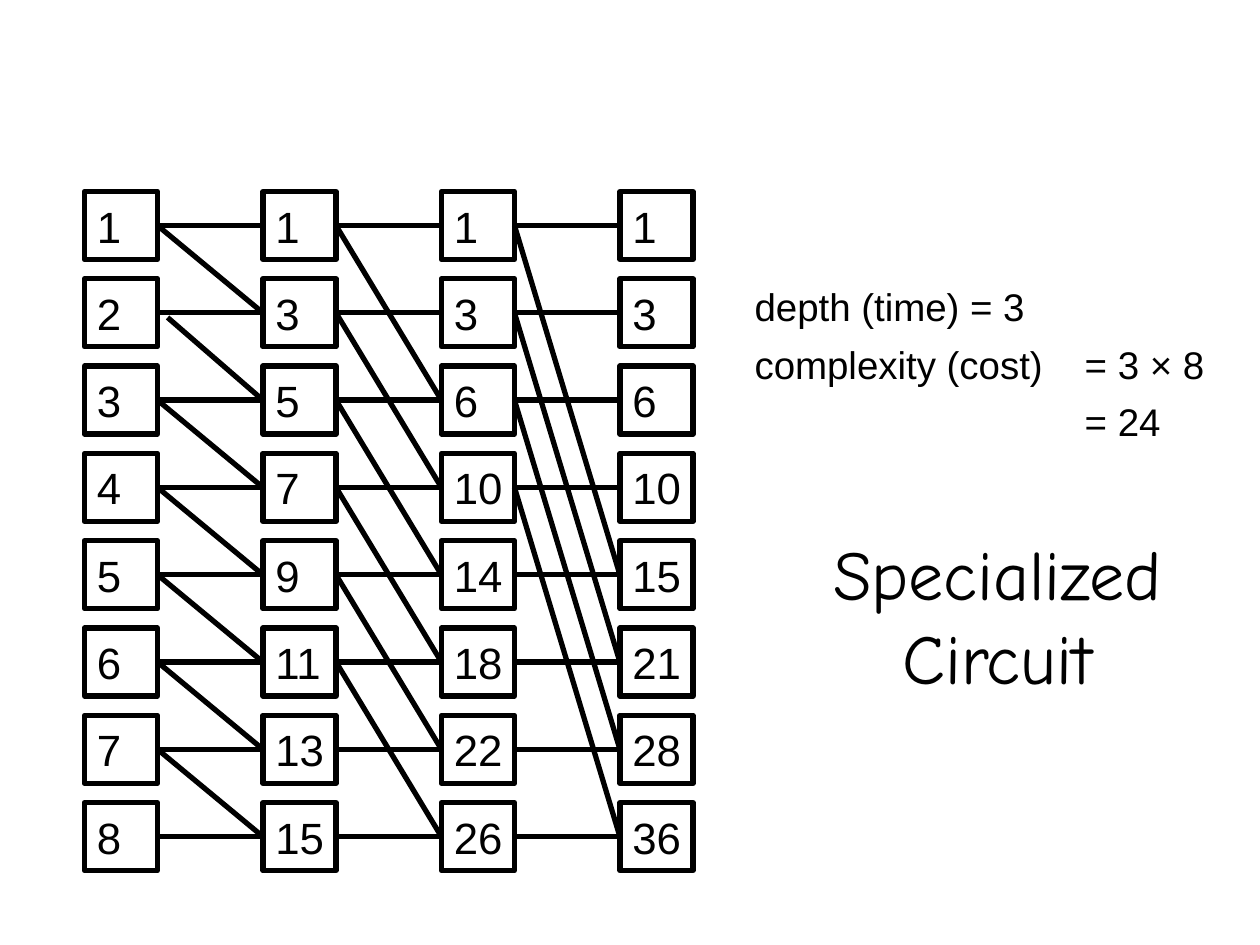
from pptx import Presentation
from pptx.dml.color import RGBColor
from pptx.enum.shapes import MSO_CONNECTOR, MSO_SHAPE
from pptx.enum.text import MSO_ANCHOR, PP_ALIGN
from pptx.oxml.ns import qn
from pptx.util import Inches, Pt
from lxml import etree

RECTANGLE = MSO_SHAPE.RECTANGLE
STRAIGHT = MSO_CONNECTOR.STRAIGHT
MIDDLE, TOP = MSO_ANCHOR.MIDDLE, MSO_ANCHOR.TOP
LEFT, CENTER = PP_ALIGN.LEFT, PP_ALIGN.CENTER
LEFT_SIDE, RIGHT_SIDE = 1, 3
BLACK = "000000"


def color(hex_string):
    return RGBColor.from_string(hex_string)


def write(shape, text, size, font="Arial", align=LEFT, anchor=TOP, wrap=True,
          space_before=0, tab=None):
    frame = shape.text_frame
    frame.word_wrap = wrap
    frame.vertical_anchor = anchor
    for index, line in enumerate(text.split("\n")):
        paragraph = frame.paragraphs[0] if index == 0 else frame.add_paragraph()
        paragraph.alignment = align
        if index:
            paragraph.space_before = Pt(space_before)
        if tab:
            properties = paragraph._p.get_or_add_pPr()
            tab_list = etree.SubElement(properties, qn("a:tabLst"))
            etree.SubElement(tab_list, qn("a:tab"), pos=str(tab), algn="l")
        run = paragraph.add_run()
        run.text = line
        run.font.name = font
        run.font.size = Pt(size)
        run.font.color.rgb = color(BLACK)


presentation = Presentation()
presentation.slide_width = Inches(10)
presentation.slide_height = Inches(7.5)
slide = presentation.slides.add_slide(presentation.slide_layouts[6])

# Title
title = slide.shapes.add_textbox(Inches(5.83), Inches(4.18), Inches(4.17), Inches(1.4))
write(title, "Specialized Circuit", 40, font="Comic Neue", align=CENTER, anchor=MIDDLE)

# Prefix sums: each stage adds the value that lies one offset above
offsets = [1, 2, 4]
columns = [list(range(1, 9))]
for offset in offsets:
    previous = columns[-1]
    columns.append([value + (previous[row - offset] if row >= offset else 0)
                    for row, value in enumerate(previous)])

# Boxes of the circuit
column_step = 4.25 / 3
row_step = 4.85 / 7
boxes = []
for column, values in enumerate(columns):
    boxes.append([])
    for row, value in enumerate(values):
        box = slide.shapes.add_shape(
            RECTANGLE, Inches(0.67 + column * column_step),
            Inches(1.52 + row * row_step), Inches(0.58), Inches(0.54))
        box.shadow.inherit = False
        box.fill.background()
        box.line.color.rgb = color(BLACK)
        box.line.width = Pt(3)
        write(box, str(value), 25, anchor=MIDDLE, wrap=False)
        boxes[column].append(box)

# Wires: straight across, and down by the offset of the stage
for stage, offset in enumerate(offsets):
    for shift in (0, offset):
        for row in range(8 - shift):
            wire = slide.shapes.add_connector(
                STRAIGHT, Inches(1.33), Inches(2.52), Inches(2.06), Inches(3.17))
            # The second diagonal of the first stage starts clear of its box
            if (stage, shift, row) != (0, 1, 1):
                wire.begin_connect(boxes[stage][row], RIGHT_SIDE)
            wire.end_connect(boxes[stage + 1][row + shift], LEFT_SIDE)
            wire.line.color.rgb = color(BLACK)
            wire.line.width = Pt(3)
            etree.SubElement(wire._element.spPr, qn("a:effectLst"))

# Cost of the circuit
cost = slide.shapes.add_textbox(Inches(5.89), Inches(2.2), Inches(3.92), Inches(1.33))
write(cost, "depth (time) = 3\ncomplexity (cost)\t= 3 × 8\n\t= 24", 22,
      space_before=6.5, tab=Inches(2.62))

presentation.save("out.pptx")
